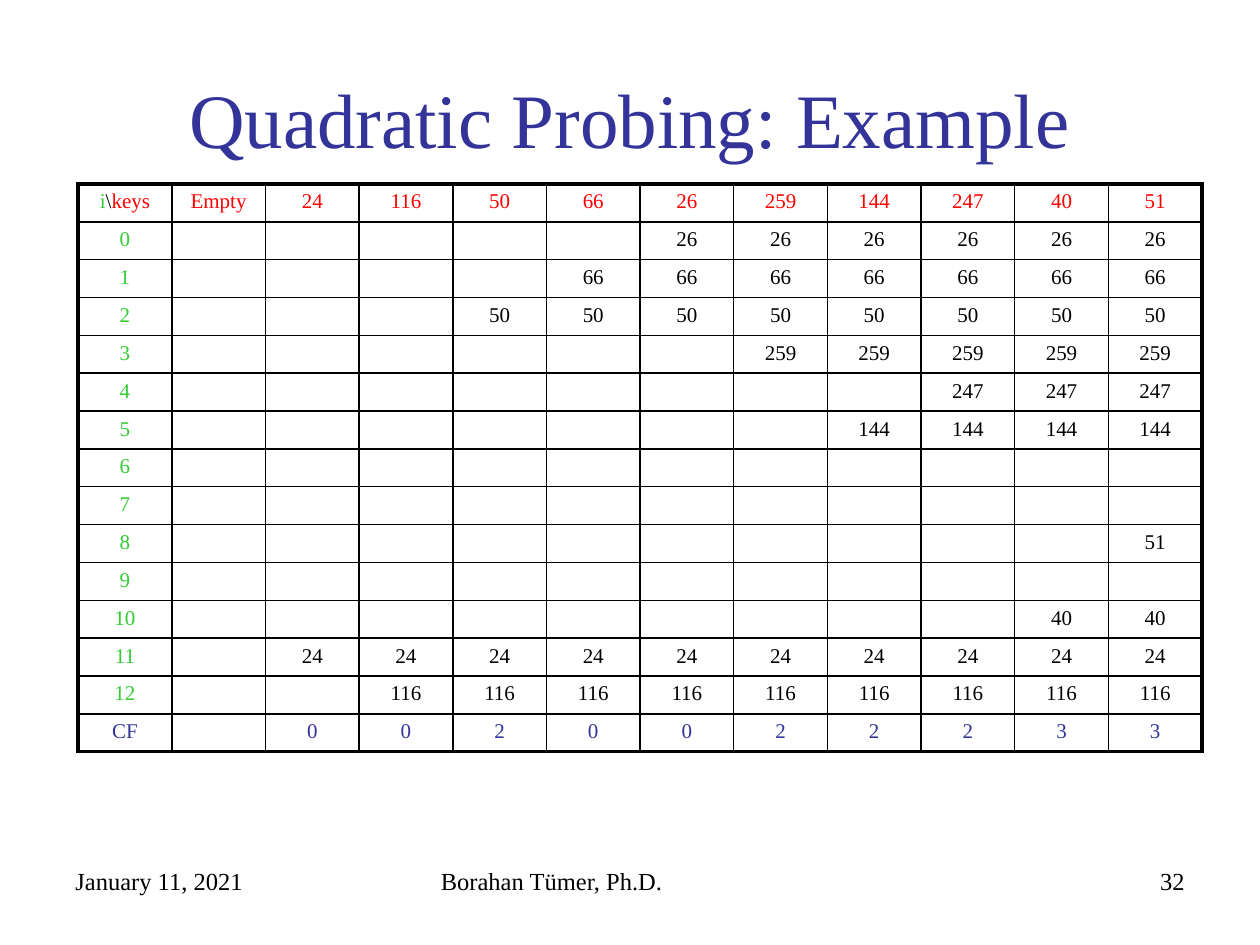
from dataclasses import dataclass

from lxml import etree
from pptx import Presentation
from pptx.dml.color import RGBColor
from pptx.enum.text import MSO_ANCHOR, PP_ALIGN
from pptx.oxml.ns import qn
from pptx.util import Emu, Inches, Pt

LEFT, CENTER, RIGHT = PP_ALIGN.LEFT, PP_ALIGN.CENTER, PP_ALIGN.RIGHT
TOP, MIDDLE = MSO_ANCHOR.TOP, MSO_ANCHOR.MIDDLE

SLIDE_WIDTH, SLIDE_HEIGHT = Inches(10), Inches(7.5)
FONT = "Times New Roman"
BLACK, RED, GREEN, INDIGO = "000000", "FF0000", "33CC33", "333399"
THIN, THICK = 1, 2.25
CELL_SIZE = 12
COLUMN_WIDTH, ROW_HEIGHT = Inches(8.92 / 12), Inches(4.28 / 15)
SLOT_COUNT = 13


@dataclass(frozen=True)
class Run:
    text: str
    color: str = BLACK


@dataclass(frozen=True)
class Label:
    """Text placed by shares of the slide's size."""
    run: Run
    left: float
    top: float
    width: float
    height: float
    size: float = 14
    align: PP_ALIGN = LEFT
    anchor: MSO_ANCHOR = TOP


@dataclass(frozen=True)
class Insertion:
    key: int
    slot: int
    collisions: int


LABELS = [
    Label(Run("January 11, 2021"), 0.05, 0.91, 0.23, 0.07),
    Label(Run("Borahan Tümer, Ph.D."), 0.34, 0.91, 0.32, 0.07),
    Label(Run("32"), 0.72, 0.91, 0.23, 0.07, align=RIGHT),
    Label(Run("Quadratic Probing: Example", INDIGO), 0.05, 0.04, 0.9, 0.17,
          44, CENTER, MIDDLE),
]
INSERTIONS = [
    Insertion(24, 11, 0), Insertion(116, 12, 0), Insertion(50, 2, 2),
    Insertion(66, 1, 0), Insertion(26, 0, 0), Insertion(259, 3, 2),
    Insertion(144, 5, 2), Insertion(247, 4, 2), Insertion(40, 10, 3),
    Insertion(51, 8, 3),
]


def rgb(color: str) -> RGBColor:
    """Turn a hex string into a colour."""
    return RGBColor.from_string(color)


def write_run(paragraph, run: Run, size: float) -> None:
    """Add one formatted run to a paragraph."""
    text_run = paragraph.add_run()
    text_run.text = run.text
    text_run.font.name = FONT
    text_run.font.size = Pt(size)
    text_run.font.color.rgb = rgb(run.color)


def draw_label(slide, label: Label) -> None:
    """Draw a text box at its share of the slide."""
    shape = slide.shapes.add_textbox(
        Emu(int(label.left * SLIDE_WIDTH)), Emu(int(label.top * SLIDE_HEIGHT)),
        Emu(int(label.width * SLIDE_WIDTH)), Emu(int(label.height * SLIDE_HEIGHT)))
    shape.text_frame.word_wrap = True
    shape.text_frame.vertical_anchor = label.anchor
    paragraph = shape.text_frame.paragraphs[0]
    paragraph.alignment = label.align
    write_run(paragraph, label.run, label.size)


def set_border(cell, side: str, width: float) -> None:
    """Draw one black border of a cell."""
    properties = cell._tc.get_or_add_tcPr()
    line = etree.SubElement(properties, qn(f"a:ln{side}"), w=str(Pt(width)))
    fill = etree.SubElement(line, qn("a:solidFill"))
    etree.SubElement(fill, qn("a:srgbClr"), val=BLACK)


def probing_rows() -> list[list[list[Run]]]:
    """Build the runs of every cell from the insertions."""
    header = [[Run("i", GREEN), Run("\\", BLACK), Run("keys", RED)], [Run("Empty", RED)]]
    rows = [header + [[Run(str(step.key), RED)] for step in INSERTIONS]]
    for slot in range(SLOT_COUNT):
        row = [[Run(str(slot), GREEN)], []]
        stored = []
        for step in INSERTIONS:
            if step.slot == slot:
                stored = [Run(str(step.key))]
            row.append(stored)
        rows.append(row)
    counts = [[Run(str(step.collisions), INDIGO)] for step in INSERTIONS]
    return rows + [[[Run("CF", INDIGO)], []] + counts]


def draw_cell(cell, runs: list[Run], widths: dict[str, float]) -> None:
    """Fill a table cell with its runs and borders."""
    for side, width in widths.items():
        set_border(cell, side, width)
    cell.fill.background()
    paragraph = cell.text_frame.paragraphs[0]
    paragraph.alignment = CENTER
    paragraph.space_before = Pt(0.2 * CELL_SIZE)
    for run in runs:
        write_run(paragraph, run, CELL_SIZE)
    if not runs:
        etree.SubElement(paragraph._p, qn("a:endParaRPr"), sz=str(CELL_SIZE * 100))


def draw_table(slide, rows: list[list[list[Run]]]) -> None:
    """Draw the probing table with a thick outer frame."""
    row_count, column_count = len(rows), len(rows[0])
    table = slide.shapes.add_table(
        row_count, column_count, Inches(0.62), Inches(1.46),
        COLUMN_WIDTH * column_count, ROW_HEIGHT * row_count).table
    table.first_row = table.horz_banding = False
    for column in table.columns:
        column.width = COLUMN_WIDTH
    for row_index, row in enumerate(rows):
        table.rows[row_index].height = ROW_HEIGHT
        for column_index, runs in enumerate(row):
            outer = {
                "L": column_index == 0,
                "R": column_index == column_count - 1,
                "T": row_index == 0,
                "B": row_index == row_count - 1,
            }
            widths = {side: THICK if edge else THIN for side, edge in outer.items()}
            draw_cell(table.cell(row_index, column_index), runs, widths)


def main() -> None:
    """Build and save the slide."""
    presentation = Presentation()
    presentation.slide_width, presentation.slide_height = SLIDE_WIDTH, SLIDE_HEIGHT
    slide = presentation.slides.add_slide(presentation.slide_layouts[6])
    for label in LABELS:
        draw_label(slide, label)
    draw_table(slide, probing_rows())
    presentation.save("out.pptx")


if __name__ == "__main__":
    main()
